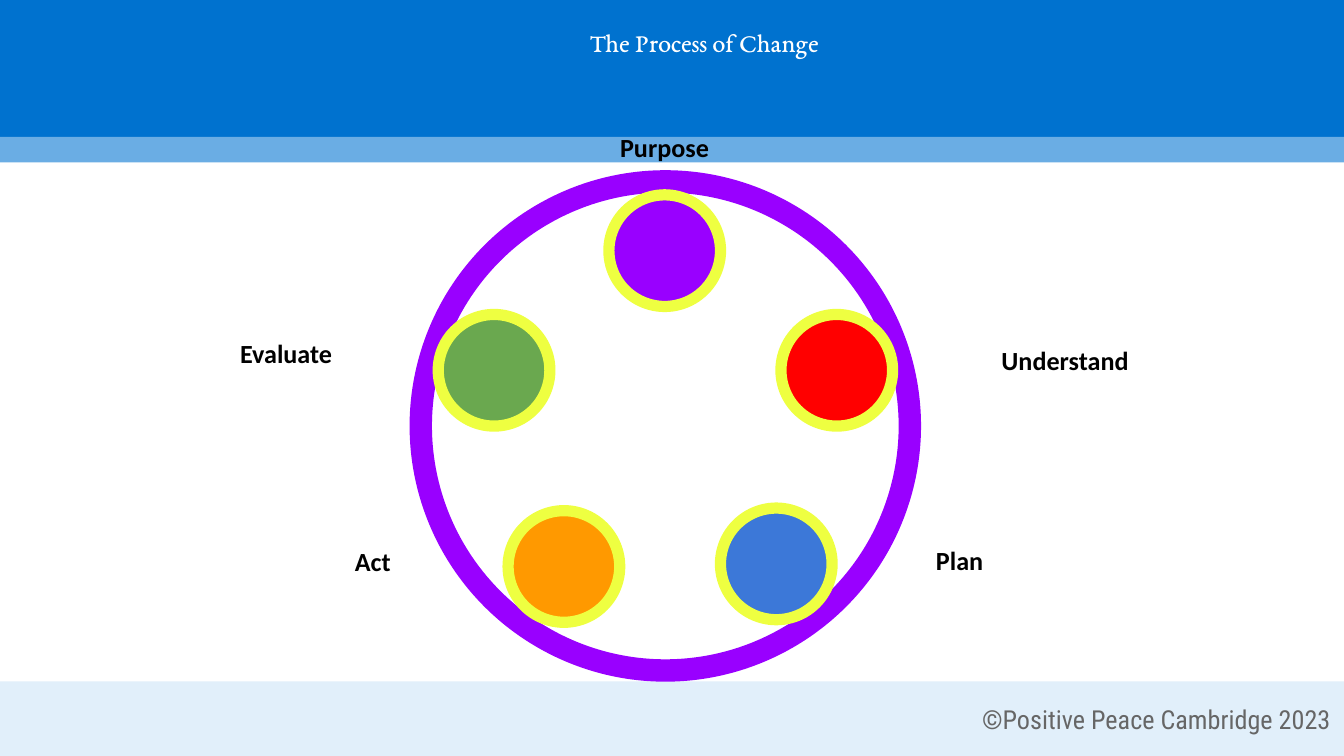
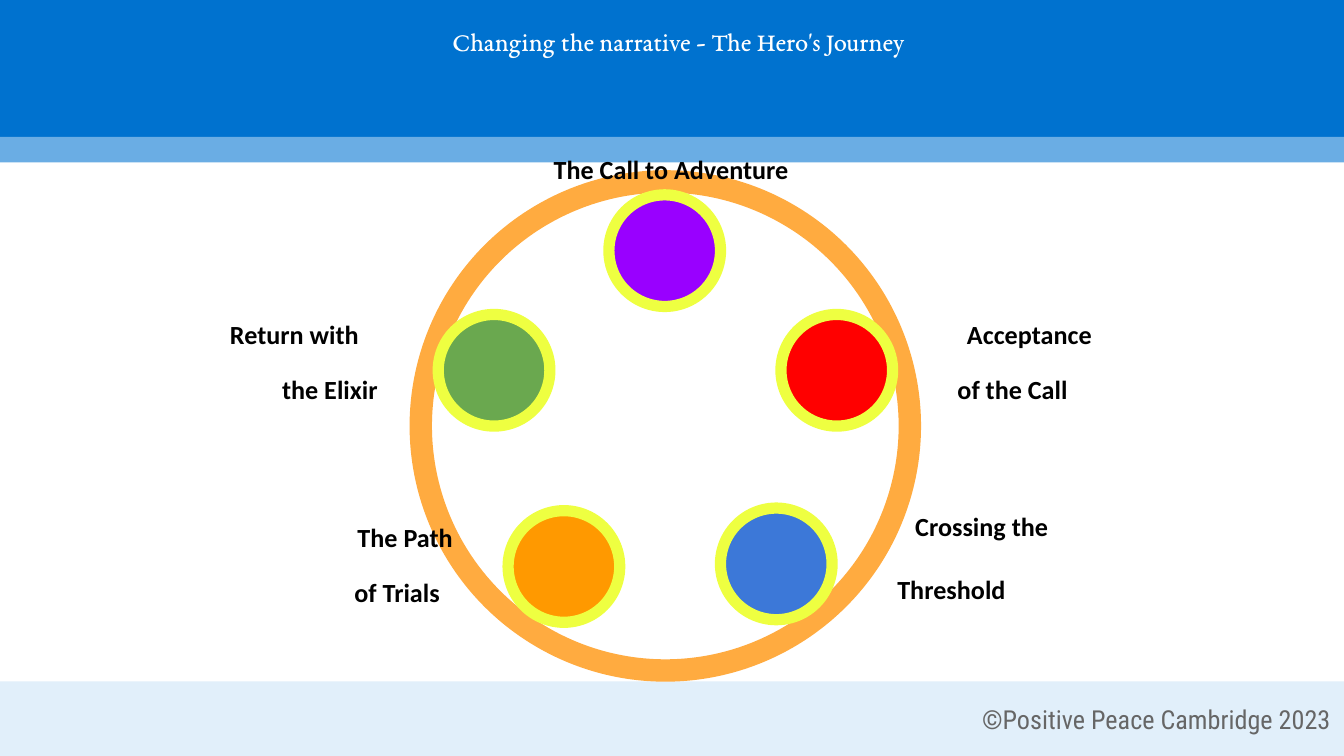
from typing import NamedTuple

from lxml.etree import SubElement
from pptx import Presentation
from pptx.dml.color import RGBColor
from pptx.enum.shapes import MSO_SHAPE
from pptx.enum.text import PP_ALIGN
from pptx.oxml.ns import qn
from pptx.util import Pt

HEADER_BLUE = RGBColor(0x00, 0x72, 0xCF)
STRIPE_BLUE = RGBColor(0x6A, 0xAD, 0xE4)
FOOTER_BLUE = RGBColor(0xE1, 0xEF, 0xFA)
FOOTER_GREY = RGBColor(0x66, 0x66, 0x66)
WHITE = RGBColor(0xFF, 0xFF, 0xFF)
BLACK = RGBColor(0x00, 0x00, 0x00)
PURPLE = RGBColor(0x99, 0x00, 0xFF)
RED = RGBColor(0xFF, 0x00, 0x00)
BLUE = RGBColor(0x3C, 0x78, 0xD8)
ORANGE = RGBColor(0xFF, 0x99, 0x00)
GREEN = RGBColor(0x6A, 0xA8, 0x4F)
LIGHT_ORANGE = RGBColor(0xFF, 0xAB, 0x40)
YELLOW = RGBColor(0xEE, 0xFF, 0x41)
LABEL_OUTLINE = RGBColor(0xB6, 0xD7, 0xA8)

TITLE_FONT = "EB Garamond"
LABEL_FONT = "Calibri"
FOOTER_FONT = "Roboto Condensed"
TEXT_SIZE = 14


class Box(NamedTuple):
    """A rectangle in points."""
    left: float
    top: float
    width: float
    height: float

    def inside(self, left, top, width, height):
        """Return a box whose offset is measured from this one."""
        return Box(self.left + left, self.top + top, width, height)

    def lengths(self):
        return [Pt(value) for value in self]


PAGE = Box(0, 0, 720, 405)
WHEEL = Box(225.4, 97.2, 262, 262)
STAGE_SIZE = 59.8
# Colour, left and top of each stage within the wheel, clockwise.
STAGES = [
    (PURPLE, 100.8, 7.2),
    (RED, 193, 71.3),
    (BLUE, 160.6, 175),
    (ORANGE, 46.8, 176.4),
    (GREEN, 9.4, 71.3),
]

# Labels are placed from the wheel's top left corner.
CHANGE_LABELS = [
    ("Purpose", 73.4, -30.2, 114.5, 38.9),
    ("Understand", 271.4, 83.5, 147.6, 31.7),
    ("Plan", 253.4, 190.8, 70.6, 31.7),
    ("Act", -51.2, 191.5, 51.1, 38.9),
    ("Evaluate", -123.2, 79.9, 102.2, 38.9),
]
JOURNEY_LABELS = [
    ("The Call to Adventure", -1.5, -18.7, 271.4, 31.7),
    ("Acceptance", 253.4, 69.8, 145.4, 37.4),
    ("Crossing the", 221, 172.8, 159.1, 39.6),
    ("The Path", -63.4, 178.6, 110.2, 31.7),
    ("of the Call", 253.4, 99.4, 127.4, 31.7),
    ("Threshold", 221, 206.6, 126.7, 31.7),
    ("of Trials", -63.4, 208.1, 101.5, 33.1),
    ("Return with", -142.6, 69.8, 149.8, 33.1),
    ("the Elixir", -106.6, 99.4, 115.9, 33.1),
]


def add_figure(slide, kind, box, fill=None, line=None, line_width=0):
    shape = slide.shapes.add_shape(kind, *box.lengths())
    shape.shadow.inherit = False
    if fill is None:
        shape.fill.background()
    else:
        shape.fill.solid()
        shape.fill.fore_color.rgb = fill
    if line is None:
        shape.line.fill.background()
    else:
        shape.line.color.rgb = line
        shape.line.width = Pt(line_width)


def add_text(slide, box, text, font_name, color, align=PP_ALIGN.CENTER, inset=3.6):
    """Add one line of text and return its run; inset is the top and bottom margin."""
    frame = slide.shapes.add_textbox(*box.lengths()).text_frame
    frame.word_wrap = True
    frame.margin_top = frame.margin_bottom = Pt(inset)
    paragraph = frame.paragraphs[0]
    paragraph.alignment = align
    run = paragraph.add_run()
    run.text = text
    run.font.name = font_name
    run.font.size = Pt(TEXT_SIZE)
    run.font.color.rgb = color
    return run


def outline_text(run, color, width):
    properties = run.font._element
    line = SubElement(properties, qn("a:ln"), w=str(Pt(width)))
    fill = SubElement(line, qn("a:solidFill"))
    SubElement(fill, qn("a:srgbClr"), val=str(color))
    properties.insert(0, line)


def add_bands(slide, page):
    bands = [
        (FOOTER_BLUE, page.inside(0, 365, page.width, 40)),
        (HEADER_BLUE, page.inside(-2.2, 0, page.width + 4.4, 75.6)),
        (STRIPE_BLUE, page.inside(-2.2, 73.4, page.width + 4.4, 13.7)),
    ]
    for color, box in bands:
        add_figure(slide, MSO_SHAPE.RECTANGLE, box, color)
    add_text(slide, page.inside(466.6, 369.4, 253.4, 31.7),
             "©Positive Peace Cambridge 2023", FOOTER_FONT, FOOTER_GREY,
             PP_ALIGN.RIGHT, 7.2)


def add_wheel(slide, wheel, ring_color, labels):
    add_figure(slide, MSO_SHAPE.OVAL, wheel, line=ring_color, line_width=12)
    for color, left, top in STAGES:
        stage = wheel.inside(left, top, STAGE_SIZE, STAGE_SIZE)
        add_figure(slide, MSO_SHAPE.OVAL, stage, color, YELLOW, 6)
    for text, *place in labels:
        run = add_text(slide, wheel.inside(*place), text, LABEL_FONT, BLACK)
        run.font.bold = True
        outline_text(run, LABEL_OUTLINE, 0.75)


def add_wheel_slide(presentation, title, title_box, ring_color, labels):
    slide = presentation.slides.add_slide(presentation.slide_layouts[6])
    add_bands(slide, PAGE)
    add_text(slide, title_box, title, TITLE_FONT, WHITE)
    add_wheel(slide, WHEEL, ring_color, labels)


def main():
    presentation = Presentation()
    presentation.slide_width = Pt(PAGE.width)
    presentation.slide_height = Pt(PAGE.height)
    add_wheel_slide(presentation, "The Process of Change",
                    PAGE.inside(130.3, 10.8, 494, 56.2), PURPLE, CHANGE_LABELS)
    add_wheel_slide(presentation, "Changing the narrative - The Hero's Journey",
                    PAGE.inside(23, 10.1, 681, 56.2), LIGHT_ORANGE, JOURNEY_LABELS)
    presentation.save("out.pptx")


if __name__ == "__main__":
    main()
